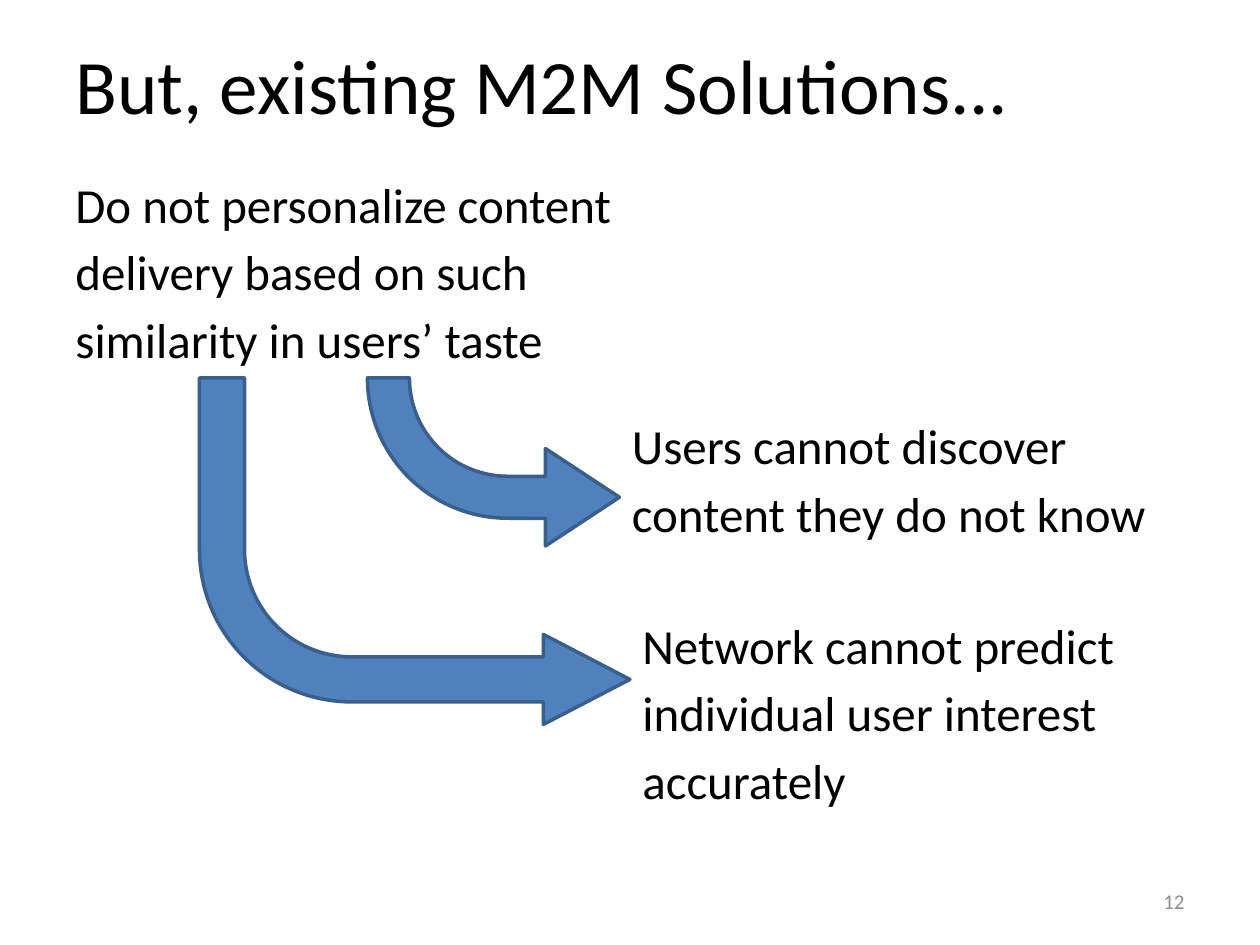
from dataclasses import dataclass

from pptx import Presentation
from pptx.dml.color import RGBColor
from pptx.enum.shapes import MSO_SHAPE
from pptx.enum.text import MSO_ANCHOR, PP_ALIGN
from pptx.oxml.ns import qn
from pptx.util import Pt


@dataclass(frozen=True)
class Theme:
    font: str = "Calibri"
    ink: RGBColor = RGBColor(0, 0, 0)
    grey: RGBColor = RGBColor(0x8C, 0x8C, 0x8C)
    blue: RGBColor = RGBColor(0x4F, 0x81, 0xBD)
    edge: RGBColor = RGBColor(0x3A, 0x5F, 0x8C)
    title: int = 44
    body: int = 28
    small: int = 12
    gap: int = 5
    line: int = 2


THEME = Theme()

# Boxes are left, top, width, height in points.
TITLE = ("But, existing M2M Solutions...", (36, 12, 648, 72))
NUMBER = ("12", (516, 500.4, 168, 28.8))
CAUSE = (
    ["Do not personalize content", "delivery based on such", "similarity in users’ taste"],
    (36, 96, 336, 132),
    PP_ALIGN.JUSTIFY,
)
EFFECTS = [
    (
        ["Users cannot discover", "content they do not know"],
        (354, 234, 336, 84),
        PP_ALIGN.JUSTIFY,
    ),
    (
        ["Network cannot predict", "individual user interest", "accurately"],
        (360, 348, 306, 114),
        PP_ALIGN.LEFT,
    ),
]
ARROWS = [
    ((210, 216, 144, 96), (0.25, 0.29, 0.44, 0.88)),
    ((114, 216, 246, 198), (0.13, 0.13, 0.25, 0.44)),
]


def add_text(slide, lines, box, size, color=THEME.ink,
             align=PP_ALIGN.LEFT, anchor=MSO_ANCHOR.TOP):
    frame = slide.shapes.add_textbox(*map(Pt, box)).text_frame
    frame.word_wrap = True
    frame.vertical_anchor = anchor
    frame.text = "\n".join(lines)
    for i, para in enumerate(frame.paragraphs):
        para.alignment = align
        if i:
            para.space_before = Pt(THEME.gap)
        para.font.name = THEME.font
        para.font.size = Pt(size)
        para.font.color.rgb = color


def add_arrow(slide, box, bends):
    """Draw a bent arrow that runs down and then right."""
    arrow = slide.shapes.add_shape(MSO_SHAPE.BENT_ARROW, *map(Pt, box))
    for i, bend in enumerate(bends):
        arrow.adjustments[i] = bend
    arrow._element.spPr.find(qn("a:xfrm")).set("flipV", "1")
    arrow.shadow.inherit = False
    arrow.fill.solid()
    arrow.fill.fore_color.rgb = THEME.blue
    arrow.line.color.rgb = THEME.edge
    arrow.line.width = Pt(THEME.line)


def main():
    deck = Presentation()
    deck.slide_width, deck.slide_height = Pt(720), Pt(540)
    slide = deck.slides.add_slide(deck.slide_layouts[6])

    title, box = TITLE
    add_text(slide, [title], box, THEME.title, anchor=MSO_ANCHOR.MIDDLE)
    number, box = NUMBER
    add_text(slide, [number], box, THEME.small, THEME.grey,
             PP_ALIGN.RIGHT, MSO_ANCHOR.MIDDLE)
    for box, bends in ARROWS:
        add_arrow(slide, box, bends)
    for lines, box, align in [CAUSE, *EFFECTS]:
        add_text(slide, lines, box, THEME.body, align=align)

    deck.save("out.pptx")


if __name__ == "__main__":
    main()
